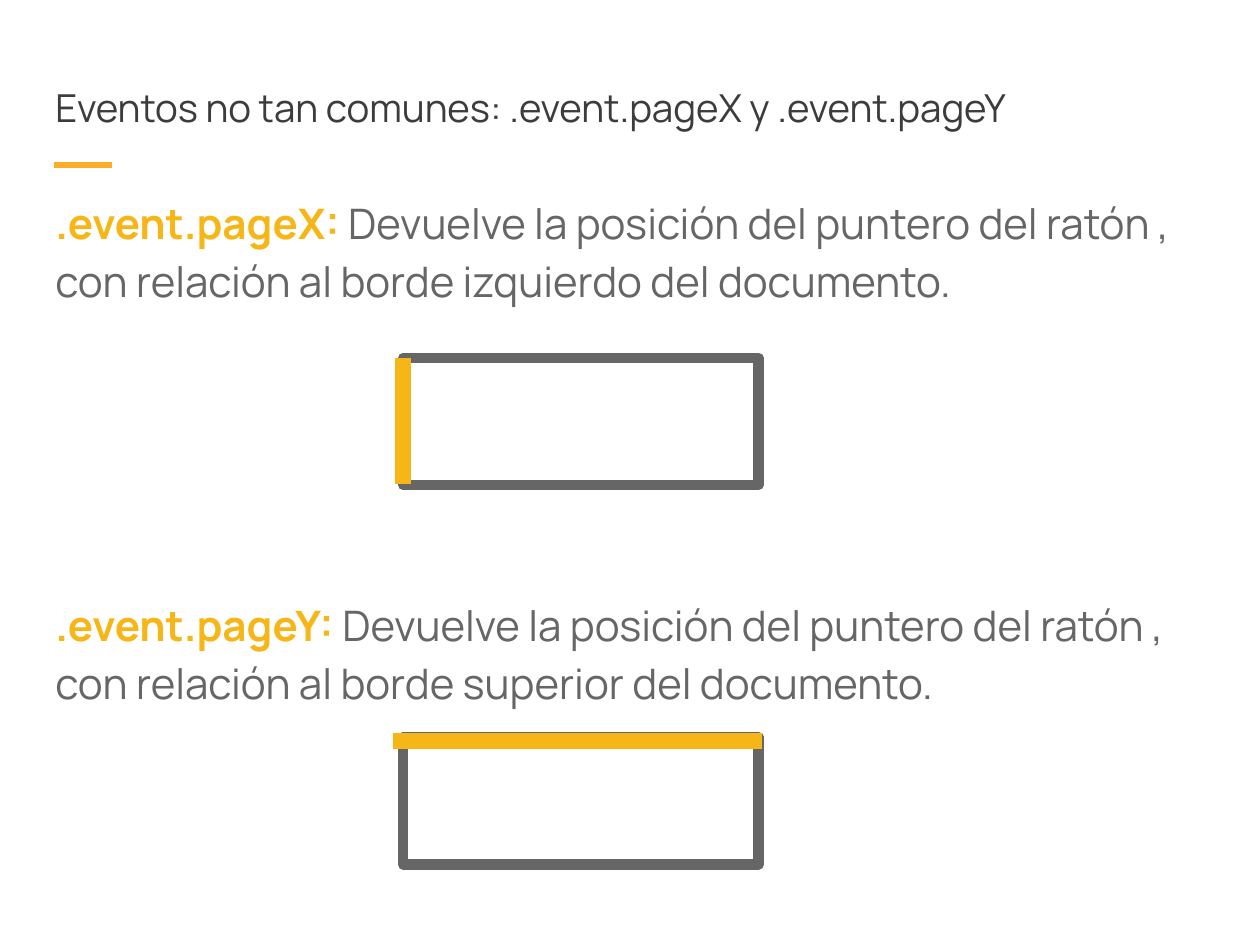
import pptx
import pptx.dml.color
import pptx.enum.shapes
import pptx.enum.text
import pptx.oxml.ns
import pptx.util
from lxml import etree

Inches = pptx.util.Inches
Pt = pptx.util.Pt
RGBColor = pptx.dml.color.RGBColor

# Content
FONT = "Manrope"
DARK = RGBColor(0x3C, 0x3C, 0x3B)
GRAY = RGBColor(0x66, 0x66, 0x66)
YELLOW = RGBColor(0xF7, 0xB6, 0x17)
ORANGE = RGBColor(0xFA, 0xAE, 0x27)

TITLE = "Eventos no tan comunes: .event.pageX y .event.pageY"
# Term, definition, text top, document top, highlighted edge (start, end)
EVENTS = [
    (".event.pageX: ",
     "Devuelve la posición del puntero del ratón , con relación al borde izquierdo del documento.",
     1.41, 2.84, ((3.2, 2.84), (3.2, 3.84))),
    (".event.pageY: ",
     "Devuelve la posición del puntero del ratón , con relación al borde superior del documento.",
     4.6, 5.85, ((3.12, 5.88), (6.05, 5.88))),
]
TEXT_LEFT, TEXT_WIDTH = 0.34, 9.32
DOCUMENT_LEFT, DOCUMENT_WIDTH, DOCUMENT_HEIGHT = 3.2, 2.82, 1.01


def add_text(slide, top, height, runs, size, line_spacing=1.0):
    """Add one paragraph made of (text, color, bold) runs."""
    box = slide.shapes.add_textbox(
        Inches(TEXT_LEFT), Inches(top), Inches(TEXT_WIDTH), Inches(height))
    frame = box.text_frame
    frame.word_wrap = True
    frame.vertical_anchor = pptx.enum.text.MSO_ANCHOR.TOP
    frame.margin_left = frame.margin_right = Inches(0.1)
    frame.margin_top = frame.margin_bottom = Inches(0.1)
    paragraph = frame.paragraphs[0]
    paragraph.line_spacing = line_spacing
    for text, color, bold in runs:
        run = paragraph.add_run()
        run.text = text
        run.font.name = FONT
        run.font.size = Pt(size)
        run.font.bold = bold
        run.font.color.rgb = color


def add_line(slide, start, end, color, width):
    line = slide.shapes.add_connector(
        pptx.enum.shapes.MSO_CONNECTOR.STRAIGHT,
        *(Inches(value) for value in (*start, *end)))
    line.line.color.rgb = color
    line.line.width = Pt(width)
    etree.SubElement(line._element.spPr, pptx.oxml.ns.qn("a:effectLst"))


def add_document(slide, top):
    document = slide.shapes.add_shape(
        pptx.enum.shapes.MSO_SHAPE.RECTANGLE, Inches(DOCUMENT_LEFT), Inches(top),
        Inches(DOCUMENT_WIDTH), Inches(DOCUMENT_HEIGHT))
    document.shadow.inherit = False
    document.fill.background()
    document.line.color.rgb = GRAY
    document.line.width = Pt(6)


def main():
    presentation = pptx.Presentation()
    presentation.slide_width = Inches(10)
    presentation.slide_height = Inches(7.5)
    slide = presentation.slides.add_slide(presentation.slide_layouts[6])

    # Title and accent
    add_text(slide, 0.57, 0.83, [(TITLE, DARK, False)], 22)
    add_line(slide, (0.43, 1.31), (0.89, 1.31), ORANGE, 3)

    # Each event with its document and measured edge
    for term, definition, text_top, document_top, edge in EVENTS:
        runs = [(term, YELLOW, True), (definition, GRAY, False)]
        add_text(slide, text_top, 1.25, runs, 24, 1.15)
        add_document(slide, document_top)
        add_line(slide, *edge, YELLOW, 9)

    presentation.save("out.pptx")


if __name__ == "__main__":
    main()
